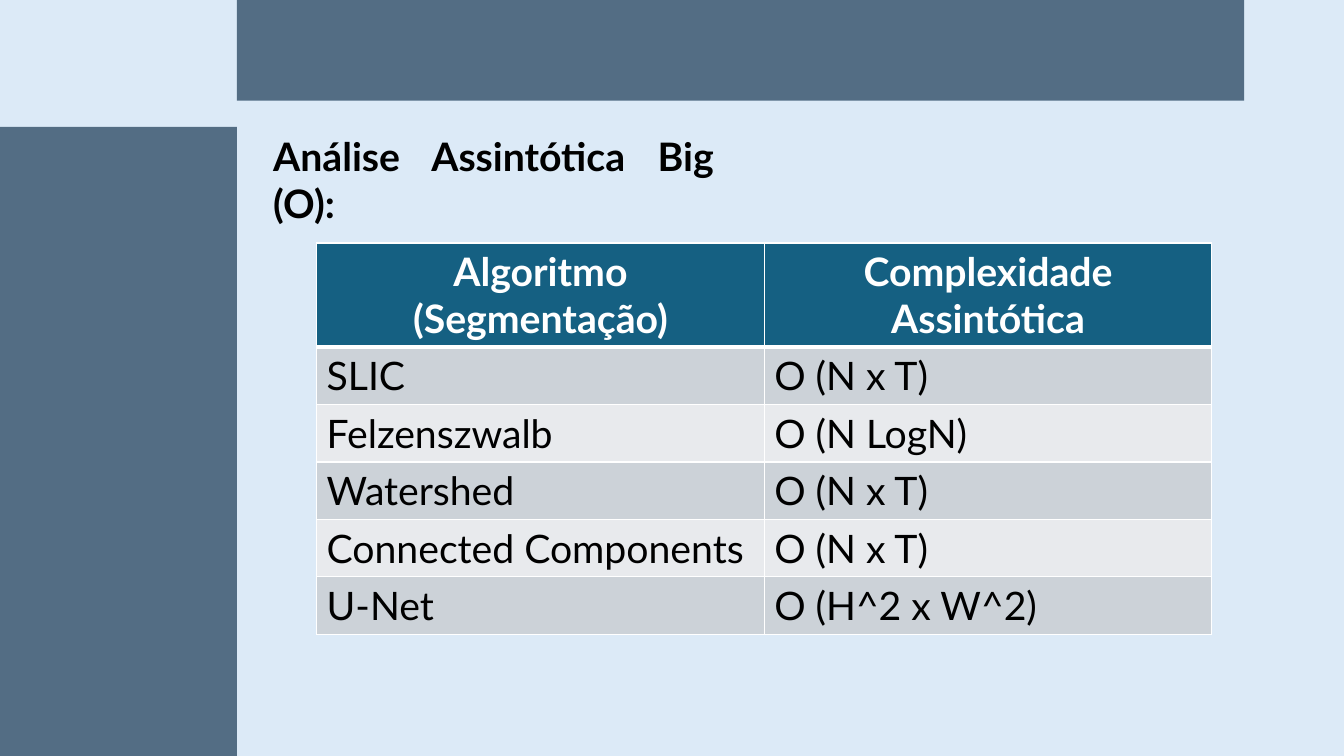
from dataclasses import dataclass

from lxml.etree import SubElement
from pptx import Presentation
from pptx.dml.color import RGBColor
from pptx.enum.shapes import MSO_SHAPE
from pptx.enum.text import MSO_ANCHOR, MSO_AUTO_SIZE, PP_ALIGN
from pptx.oxml.ns import qn
from pptx.util import Emu, Pt

FONT = "Lato"
SIZE = 28
BLACK = "000000"
WHITE = "FFFFFF"
SLATE = "536D84"
TEAL = "156082"
BANDS = ("CCD2D8", "E8EAED")


@dataclass(frozen=True)
class Panel:
    left: int
    top: int
    width: int
    height: int


@dataclass(frozen=True)
class Entry:
    name: str
    cost: str


PANELS = (Panel(0, 126, 235, 624), Panel(235, 0, 999, 100))
ENTRIES = (
    Entry("Algoritmo (Segmentação)", "Complexidade Assintótica"),
    Entry("SLIC", "O (N x T)"),
    Entry("Felzenszwalb", "O (N LogN)"),
    Entry("Watershed", "O (N x T)"),
    Entry("Connected Components", "O (N x T)"),
    Entry("U-Net", "O (H^2 x W^2)"),
)


def px(count: int) -> Emu:
    return Emu(count * 9144)


def color(code: str) -> RGBColor:
    return RGBColor.from_string(code)


def write(frame, text: str, code: str, bold: bool, align: PP_ALIGN) -> None:
    para = frame.paragraphs[0]
    para.alignment = align
    run = para.add_run()
    run.text = text
    run.font.name = FONT
    run.font.size = Pt(SIZE)
    run.font.bold = bold
    run.font.color.rgb = color(code)


def draw_panel(group, panel: Panel) -> None:
    shape = group.shapes.add_shape(
        MSO_SHAPE.RECTANGLE,
        px(panel.left), px(panel.top), px(panel.width), px(panel.height),
    )
    shape.shadow.inherit = False
    shape.fill.solid()
    shape.fill.fore_color.rgb = color(SLATE)
    shape.line.fill.background()


def draw_title(title) -> None:
    title.left, title.top = px(261), px(126)
    title.width, title.height = px(457), px(57)
    frame = title.text_frame
    frame.word_wrap = True
    frame.auto_size = MSO_AUTO_SIZE.SHAPE_TO_FIT_TEXT
    frame.vertical_anchor = MSO_ANCHOR.TOP
    write(frame, "Análise Assintótica Big (O):", BLACK, True, PP_ALIGN.JUSTIFY)


def edge(cell, side: str, width: int) -> None:
    props = cell._tc.get_or_add_tcPr()
    line = SubElement(props, qn(f"a:ln{side}"), w=str(Pt(width)))
    fill = SubElement(line, qn("a:solidFill"))
    SubElement(fill, qn("a:srgbClr"), val=WHITE)


def draw_cell(cell, text: str, row: int) -> None:
    head = row == 0
    widths = {"L": 1, "R": 1, "T": 3 if row == 1 else 1, "B": 3 if head else 1}
    for side, width in widths.items():
        edge(cell, side, width)
    cell.fill.solid()
    cell.fill.fore_color.rgb = color(TEAL if head else BANDS[(row - 1) % 2])
    align = PP_ALIGN.CENTER if head else PP_ALIGN.LEFT
    write(cell.text_frame, text, WHITE if head else BLACK, head, align)


def draw_table(slide) -> None:
    table = slide.shapes.add_table(
        len(ENTRIES), 2, px(314), px(241), px(888), px(388)
    ).table
    for col in table.columns:
        col.width = px(444)
    for row, entry in enumerate(ENTRIES):
        table.rows[row].height = px(57 if row else 103)
        for col, text in enumerate((entry.name, entry.cost)):
            draw_cell(table.cell(row, col), text, row)


def main() -> None:
    deck = Presentation()
    deck.slide_width, deck.slide_height = px(1333), px(750)
    slide = deck.slides.add_slide(deck.slide_layouts.get_by_name("Title Only"))
    back = slide.background.fill
    back.solid()
    back.fore_color.rgb = color("DCEAF7")
    group = slide.shapes.add_group_shape()
    for panel in PANELS:
        draw_panel(group, panel)
    draw_title(slide.shapes.title)
    draw_table(slide)
    deck.save("out.pptx")


if __name__ == "__main__":
    main()
